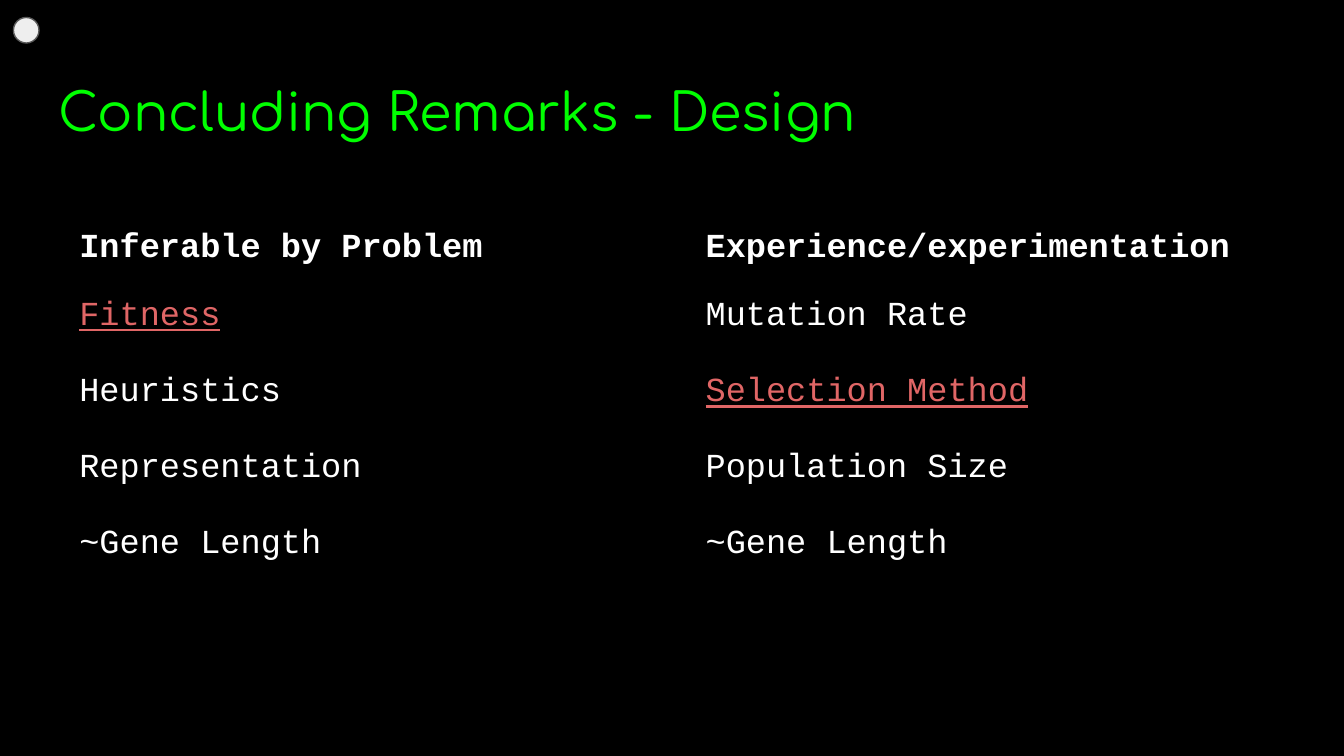
from lxml.etree import SubElement as Sub
from pptx import Presentation
from pptx.dml.color import RGBColor as RGB
from pptx.enum.shapes import MSO_SHAPE as Kind
from pptx.oxml.ns import qn
from pptx.util import Inches, Pt

TITLE = "Concluding Remarks - Design"
HEADS = ["Inferable by Problem", "Experience/experimentation"]
LISTS = [
    ["Fitness", "Heuristics", "Representation", "~Gene Length"],
    ["Mutation Rate", "Selection Method", "Population Size", "~Gene Length"],
]
MARKED = {"Fitness", "Selection Method"}

HEX = {"back": "000000", "title": "00FF00", "text": "FFFFFF",
       "mark": "E06666", "dot": "EEEEEE", "rim": "595959"}
BODY = {"name": "Courier New", "size": Pt(18)}
FORMS = {
    "title": {"name": "Comfortaa", "size": Pt(28)},
    "head": {**BODY, "bold": True},
    "text": {**BODY, "bold": False},
    "mark": {**BODY, "bold": False, "underline": True},
}
TONES = {"title": "title", "head": "text", "text": "text", "mark": "mark"}
GAP = Pt(20.4)  # one line of body text
PAD = Inches(0.1)
WIDE = Inches(10)
HIGH = WIDE * 9 // 16
ROWS = [Inches(0.47), Inches(2.05)]


def color(key):
    return RGB.from_string(HEX[key])


def write(frame, lines):
    """Fill a text frame with (text, form) lines, one line apart."""
    for i, (text, form) in enumerate(lines):
        para = frame.add_paragraph() if i else frame.paragraphs[0]
        if i:
            para.space_before = GAP
        run = para.add_run()
        run.text = text
        for key, value in FORMS[form].items():
            setattr(run.font, key, value)
        run.font.color.rgb = color(TONES[form])


def pad(box):
    for side in ("left", "top", "right", "bottom"):
        setattr(box, f"margin_{side}", PAD)


def clear(cell):
    """Take borders and fill off a cell."""
    props = cell._tc.get_or_add_tcPr()
    for side in "LRTB":
        Sub(Sub(props, qn(f"a:ln{side}")), qn("a:noFill"))
    cell.fill.background()


deck = Presentation()
deck.slide_width, deck.slide_height = WIDE, HIGH
slide = deck.slides.add_slide(deck.slide_layouts[6])
back = slide.background.fill
back.solid()
back.fore_color.rgb = color("back")

edge = Inches(0.34)
frame = slide.shapes.add_textbox(
    edge, Inches(0.49), WIDE - 2 * edge, Inches(0.63)).text_frame
frame.word_wrap = True
pad(frame)
write(frame, [(TITLE, "title")])

table = slide.shapes.add_table(
    len(ROWS), len(HEADS), Inches(0.49), Inches(1.61),
    Inches(9.32), sum(ROWS)).table
table.first_row = table.horz_banding = False
for row, high in zip(table.rows, ROWS):
    row.height = high
for col, (head, items) in enumerate(zip(HEADS, LISTS)):
    body = [(item, "mark" if item in MARKED else "text") for item in items]
    for row, lines in enumerate([[(head, "head")], body]):
        cell = table.cell(row, col)
        pad(cell)
        clear(cell)
        write(cell.text_frame, lines)

size = Inches(0.19)
dot = slide.shapes.add_shape(Kind.OVAL, Inches(0.1), Inches(0.13), size, size)
dot.shadow.inherit = False
dot.fill.solid()
dot.fill.fore_color.rgb = color("dot")
dot.line.color.rgb = color("rim")
dot.line.width = Pt(0.75)

deck.save("out.pptx")
